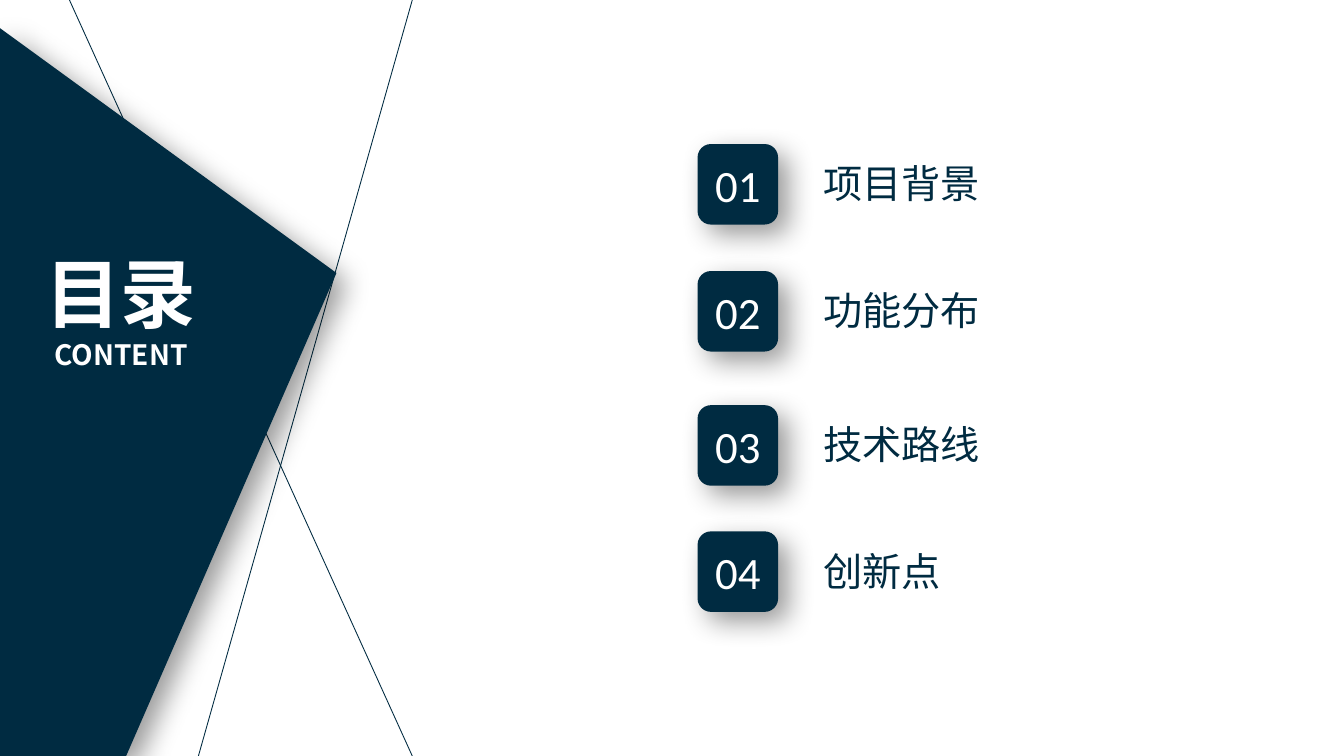
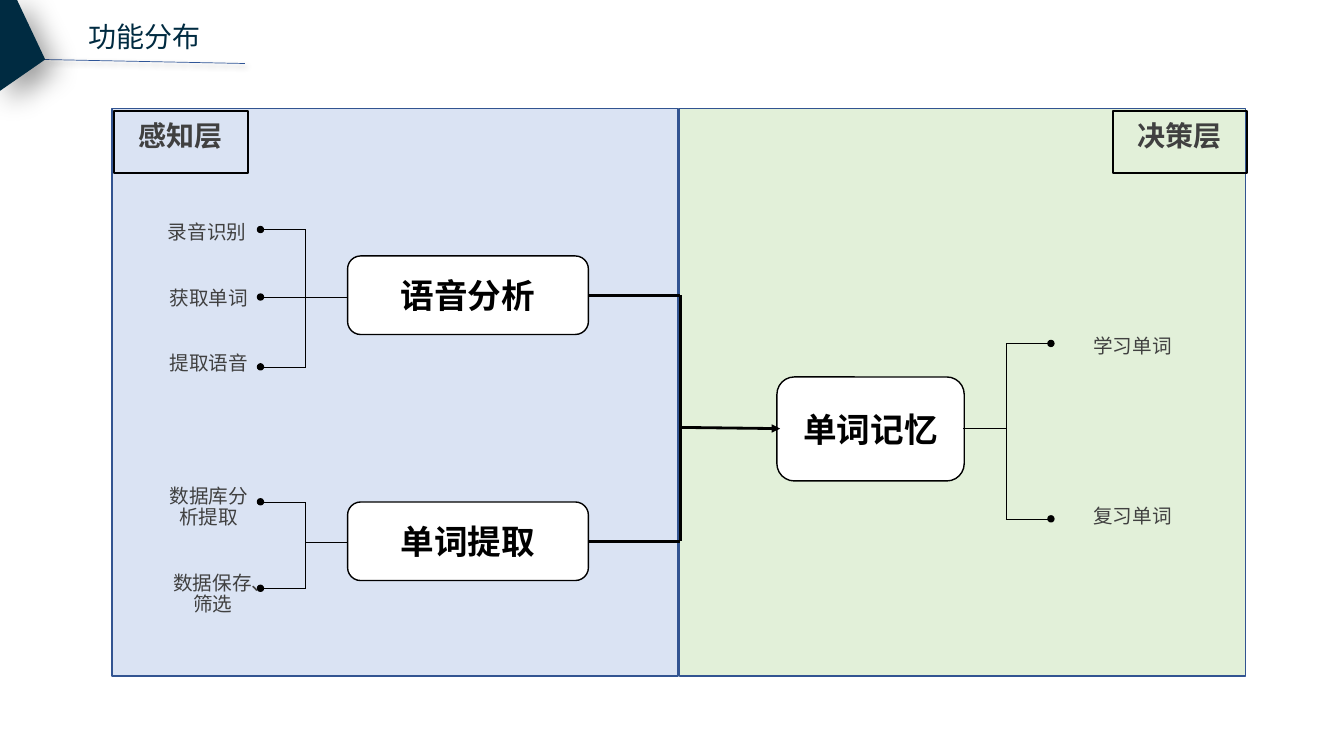
"""Build the contents slide and the function map slide."""
from lxml import etree
from pptx import Presentation
from pptx.dml.color import RGBColor
from pptx.enum.shapes import MSO_CONNECTOR, MSO_SHAPE
from pptx.enum.text import MSO_ANCHOR, PP_ALIGN
from pptx.oxml.ns import qn
from pptx.util import Cm, Pt

RECTANGLE, ROUNDED, OVAL = MSO_SHAPE.RECTANGLE, MSO_SHAPE.ROUNDED_RECTANGLE, MSO_SHAPE.OVAL
STRAIGHT = MSO_CONNECTOR.STRAIGHT
LEFT, CENTER = PP_ALIGN.LEFT, PP_ALIGN.CENTER
TOP, MIDDLE = MSO_ANCHOR.TOP, MSO_ANCHOR.MIDDLE

NAVY, WHITE, BLACK, GRAY = "002B41", "FFFFFF", "000000", "404040"
PANEL_LINE, RULE_BLUE = "325491", "2F5597"
CJK_FONT = "Noto Sans CJK SC"
DEEP_SHADOW, THIN_SHADOW = (20, 10), (4, 3)


def paint(item, fill=None, line=None, width=1, shadow=None):
    """Set fill, outline and shadow (blur and distance in points)."""
    if fill:
        item.fill.solid()
        item.fill.fore_color.rgb = RGBColor.from_string(fill)
    if line:
        item.line.color.rgb = RGBColor.from_string(line)
        item.line.width = Pt(width)
    else:
        item.line.fill.background()
    effects = etree.SubElement(item._element.spPr, qn("a:effectLst"))
    if shadow:
        blur, distance = shadow
        outer = etree.SubElement(
            effects, qn("a:outerShdw"), blurRad=str(Pt(blur)), dist=str(Pt(distance)),
            dir=str(45 * 60000), algn="tl", rotWithShape="0")
        color = etree.SubElement(outer, qn("a:srgbClr"), val=BLACK)
        etree.SubElement(color, qn("a:alpha"), val="40000")


def write(box, text, size, color, bold=False, align=LEFT, anchor=TOP,
          font=CJK_FONT, margins=(0.25, 0.13), spacing=None):
    """Fill a box with evenly formatted text."""
    frame = box.text_frame
    frame.text = text
    frame.word_wrap = True
    frame.vertical_anchor = anchor
    frame.margin_left = frame.margin_right = Cm(margins[0])
    frame.margin_top = frame.margin_bottom = Cm(margins[1])
    for para in frame.paragraphs:
        para.alignment = align
        if spacing:
            para.line_spacing = Pt(spacing)
        for span in para.runs:
            span.font.size = Pt(size)
            span.font.bold = bold
            span.font.name = font
            span.font.color.rgb = RGBColor.from_string(color)
            etree.SubElement(span._r.get_or_add_rPr(), qn("a:ea"), typeface=font)


deck = Presentation()
deck.slide_width, deck.slide_height = Cm(33.87), Cm(19.05)
contents, functions = [deck.slides.add_slide(deck.slide_layouts[6]) for _ in range(2)]

for left, color in ((17.12, "E2F0D9"), (2.82, "DAE3F3")):
    panel = functions.shapes.add_shape(RECTANGLE, Cm(left), Cm(2.74), Cm(14.27), Cm(14.3))
    paint(panel, color, PANEL_LINE)

for text, left, top, width, height in (
        ("语音分析", 8.76, 6.45, 6.07, 1.98),
        ("单词提取", 8.76, 12.65, 6.07, 1.98),
        ("单词记忆", 19.58, 9.5, 4.72, 2.62)):
    node = functions.shapes.add_shape(ROUNDED, Cm(left), Cm(top), Cm(width), Cm(height))
    paint(node, WHITE, BLACK)
    write(node, text, 24, BLACK, bold=True, align=CENTER, anchor=MIDDLE)

lines = [
    (contents, (10.39, 0, 5, 19.05), NAVY, 0.63, None),
    (contents, (10.39, 19.05, 1.75, 0), NAVY, 0.63, None),
    (functions, (1.14, 1.5, 6.17, 1.6), RULE_BLUE, 0.5, THIN_SHADOW),
    (functions, (14.83, 7.44, 17.15, 7.44), BLACK, 2, None),
    (functions, (14.83, 13.64, 17.15, 13.64), BLACK, 2, None),
    (functions, (17.15, 7.44, 17.15, 13.64), BLACK, 2, None),
]
dots = []
for hub_x, hub_y, trunk_x, tip_x, dot_x, branches in (
        (8.76, 7.49, 7.7, 6.63, 6.57, (5.79, 7.49, 9.25)),
        (8.76, 13.66, 7.7, 6.63, 6.57, (12.65, 14.83)),
        (24.28, 10.8, 25.35, 26.42, 26.49, (8.66, 13.08))):
    bracket = [(hub_x, hub_y, trunk_x, hub_y), (trunk_x, branches[0], trunk_x, branches[-1])]
    bracket += [(trunk_x, y, tip_x, y) for y in branches]
    lines += [(functions, ends, BLACK, 0.5, None) for ends in bracket]
    dots += [(dot_x, y) for y in branches]
lines.append((functions, (17.15, 10.77, 19.66, 10.8), BLACK, 2, None))

for page, ends, color, width, shadow in lines:
    connector = page.shapes.add_connector(STRAIGHT, *map(Cm, ends))
    paint(connector, line=color, width=width, shadow=shadow)
etree.SubElement(connector.line._get_or_add_ln(), qn("a:tailEnd"), type="triangle")

for x, y in dots:
    dot = functions.shapes.add_shape(OVAL, Cm(x - 0.08), Cm(y - 0.08), Cm(0.15), Cm(0.15))
    paint(dot, BLACK, BLACK)

for page, corners in (
        (contents, ((3.18, 19.05), (0, 19.05), (0, 0.71), (8.48, 6.88))),
        (functions, ((0.43, 0), (0, 0), (0, 2.29), (1.14, 1.5)))):
    points = [(Cm(x), Cm(y)) for x, y in corners]
    builder = page.shapes.build_freeform(*points[0])
    builder.add_line_segments(points[1:], close=True)
    paint(builder.convert_to_shape(), NAVY, shadow=DEEP_SHADOW)

heading = contents.shapes.add_textbox(Cm(0.61), Cm(6.1), Cm(4.88), Cm(3.43))
write(heading, "目录\nCONTENT", 54, WHITE, bold=True, align=CENTER)
heading.text_frame.paragraphs[1].runs[0].font.size = Pt(20)

for number, (text, top) in enumerate((
        ("项目背景", 3.63), ("功能分布", 6.83), ("技术路线", 10.21), ("创新点", 13.39)), 1):
    badge = contents.shapes.add_shape(ROUNDED, Cm(17.58), Cm(top), Cm(2.03), Cm(2.03))
    paint(badge, NAVY, shadow=DEEP_SHADOW)
    write(badge, f"{number:02}", 32, WHITE, align=CENTER, anchor=MIDDLE,
          font="Calibri", margins=(0, 0))
    entry = contents.shapes.add_textbox(Cm(20.5), Cm(top + 0.26), Cm(8.05), Cm(1.45))
    write(entry, text, 28, NAVY)

title = functions.shapes.add_textbox(Cm(1.98), Cm(0.36), Cm(5), Cm(1.12))
write(title, "功能分布", 20, NAVY)

for text, left in (("感知层", 2.87), ("决策层", 28.04)):
    tag = functions.shapes.add_shape(RECTANGLE, Cm(left), Cm(2.79), Cm(3.38), Cm(1.57))
    tag.fill.background()
    paint(tag, line=BLACK, width=1.5)
    write(tag, text, 20, GRAY, bold=True, align=CENTER, anchor=MIDDLE,
          margins=(0.18, 0.1), spacing=15)

for text, left, top, height in (
        ("录音识别", 3.9, 5.51, 0.74),
        ("获取单词", 3.94, 7.16, 0.74),
        ("提取语音", 3.94, 8.81, 0.74),
        ("数据库分析提取", 3.94, 12.17, 1.27),
        ("数据保存、筛选", 4.04, 14.35, 1.27),
        ("学习单词", 27.22, 8.38, 0.74),
        ("复习单词", 27.22, 12.65, 0.74)):
    label = functions.shapes.add_textbox(Cm(left), Cm(top), Cm(2.64), Cm(height))
    write(label, text, 14, GRAY, align=CENTER, margins=(0.18, 0.1), spacing=15)

deck.save("out.pptx")
